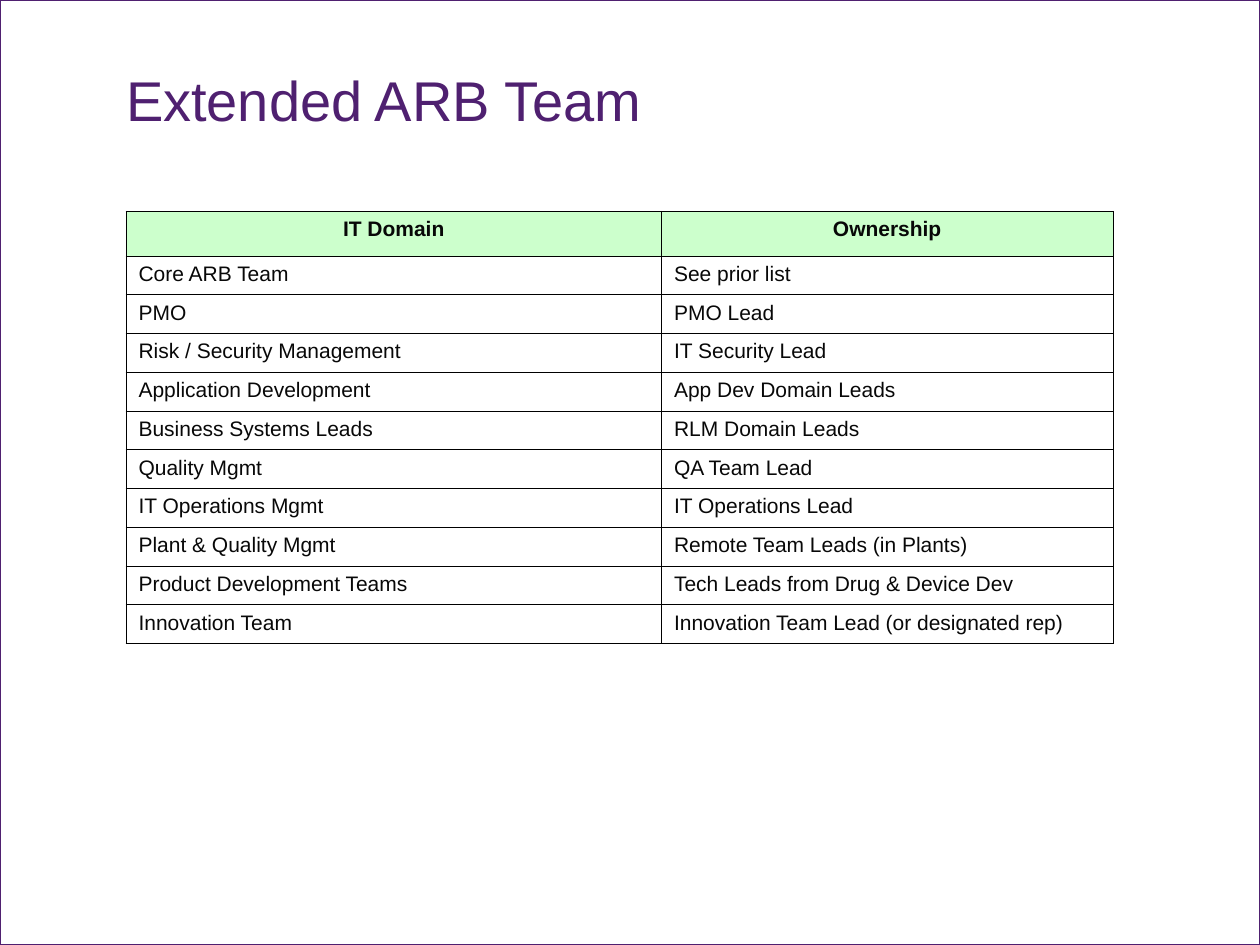
from typing import NamedTuple

from lxml.etree import SubElement
from pptx import Presentation
from pptx.dml.color import RGBColor
from pptx.enum.shapes import MSO_SHAPE as Shape
from pptx.enum.text import MSO_ANCHOR as Anchor, PP_ALIGN as Align
from pptx.oxml.ns import qn
from pptx.util import Pt

PURPLE, INK, BLACK, HEADER_GREEN = "4F2070", "080808", "000000", "CCFFCC"
SLIDE_WIDTH, SLIDE_HEIGHT = 720, 540
COLUMN_WIDTHS = (306, 258)
HEADER_HEIGHT, ROW_HEIGHT = 25.6, 22.14


class Assignment(NamedTuple):
    domain: str
    owner: str


HEADER = Assignment("IT Domain", "Ownership")
ASSIGNMENTS = [
    Assignment("Core ARB Team", "See prior list"),
    Assignment("PMO", "PMO Lead"),
    Assignment("Risk / Security Management", "IT Security Lead"),
    Assignment("Application Development", "App Dev Domain Leads"),
    Assignment("Business Systems Leads", "RLM Domain Leads"),
    Assignment("Quality Mgmt", "QA Team Lead"),
    Assignment("IT Operations Mgmt", "IT Operations Lead"),
    Assignment("Plant & Quality Mgmt", "Remote Team Leads (in Plants)"),
    Assignment("Product Development Teams", "Tech Leads from Drug & Device Dev"),
    Assignment("Innovation Team", "Innovation Team Lead (or designated rep)"),
]


def color(value: str) -> RGBColor:
    return RGBColor.from_string(value)


def style_text(paragraph, size: float, value: str, bold: bool = False) -> None:
    for run in paragraph.runs:
        run.font.name = "Arial"
        run.font.size = Pt(size)
        run.font.bold = bold
        run.font.color.rgb = color(value)


def add_frame(slide) -> None:
    frame = slide.shapes.add_shape(
        Shape.RECTANGLE, 0, 0, Pt(SLIDE_WIDTH), Pt(SLIDE_HEIGHT))
    frame.shadow.inherit = False
    frame.fill.background()
    frame.line.color.rgb = color(PURPLE)
    frame.line.width = Pt(0.75)


def add_title(slide, text: str) -> None:
    box = slide.shapes.add_textbox(Pt(72), Pt(42), Pt(600), Pt(48))
    text_frame = box.text_frame
    text_frame.word_wrap = True
    text_frame.vertical_anchor = Anchor.TOP
    text_frame.margin_left = text_frame.margin_right = 0
    text_frame.margin_top = text_frame.margin_bottom = 0
    text_frame.text = text
    paragraph = text_frame.paragraphs[0]
    paragraph.line_spacing = 0.9
    style_text(paragraph, 32, PURPLE)


def add_borders(cell) -> None:
    """Outline all four sides; borders must come before the cell's fill."""
    properties = cell._tc.get_or_add_tcPr()
    for side in ("lnL", "lnR", "lnT", "lnB"):
        border = SubElement(properties, qn(f"a:{side}"), w=str(Pt(0.45)))
        fill = SubElement(border, qn("a:solidFill"))
        SubElement(fill, qn("a:srgbClr"), val=BLACK)


def fill_cell(cell, text: str, is_header: bool) -> None:
    add_borders(cell)
    if is_header:
        cell.fill.solid()
        cell.fill.fore_color.rgb = color(HEADER_GREEN)
    else:
        cell.fill.background()
    cell.margin_left = cell.margin_right = Pt(7.2)
    cell.margin_top = cell.margin_bottom = Pt(3.6)
    cell.text_frame.text = text
    paragraph = cell.text_frame.paragraphs[0]
    paragraph.alignment = Align.CENTER if is_header else Align.LEFT
    style_text(paragraph, 12, INK, bold=is_header)


def add_ownership_table(slide) -> None:
    rows = [HEADER, *ASSIGNMENTS]
    height = HEADER_HEIGHT + ROW_HEIGHT * len(ASSIGNMENTS)
    table = slide.shapes.add_table(
        len(rows), len(COLUMN_WIDTHS),
        Pt(72), Pt(120.7), Pt(sum(COLUMN_WIDTHS)), Pt(height)).table
    for column, width in zip(table.columns, COLUMN_WIDTHS):
        column.width = Pt(width)
    for index, assignment in enumerate(rows):
        is_header = index == 0
        table.rows[index].height = Pt(HEADER_HEIGHT if is_header else ROW_HEIGHT)
        for cell, text in zip(table.rows[index].cells, assignment):
            fill_cell(cell, text, is_header)


def main() -> None:
    presentation = Presentation()
    presentation.slide_width = Pt(SLIDE_WIDTH)
    presentation.slide_height = Pt(SLIDE_HEIGHT)
    slide = presentation.slides.add_slide(presentation.slide_layouts[6])
    add_frame(slide)
    add_title(slide, "Extended ARB Team")
    add_ownership_table(slide)
    presentation.save("out.pptx")


if __name__ == "__main__":
    main()
